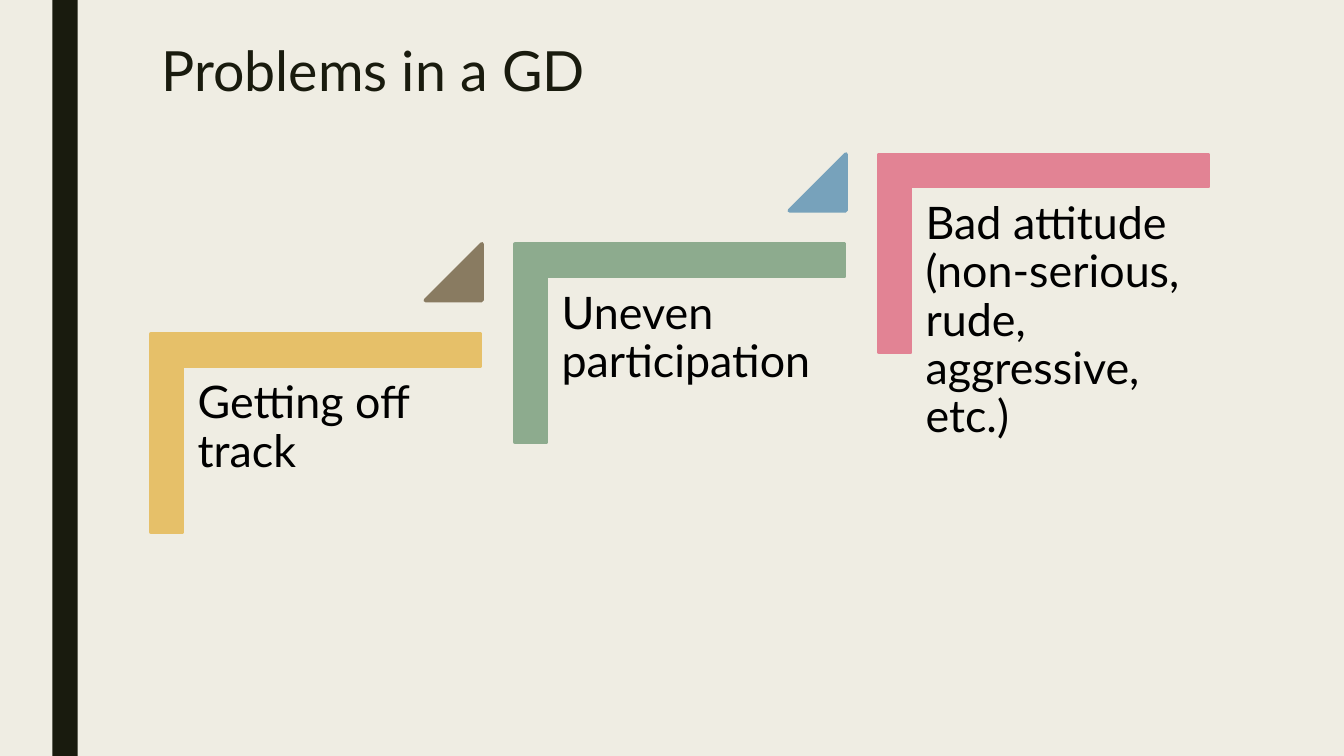
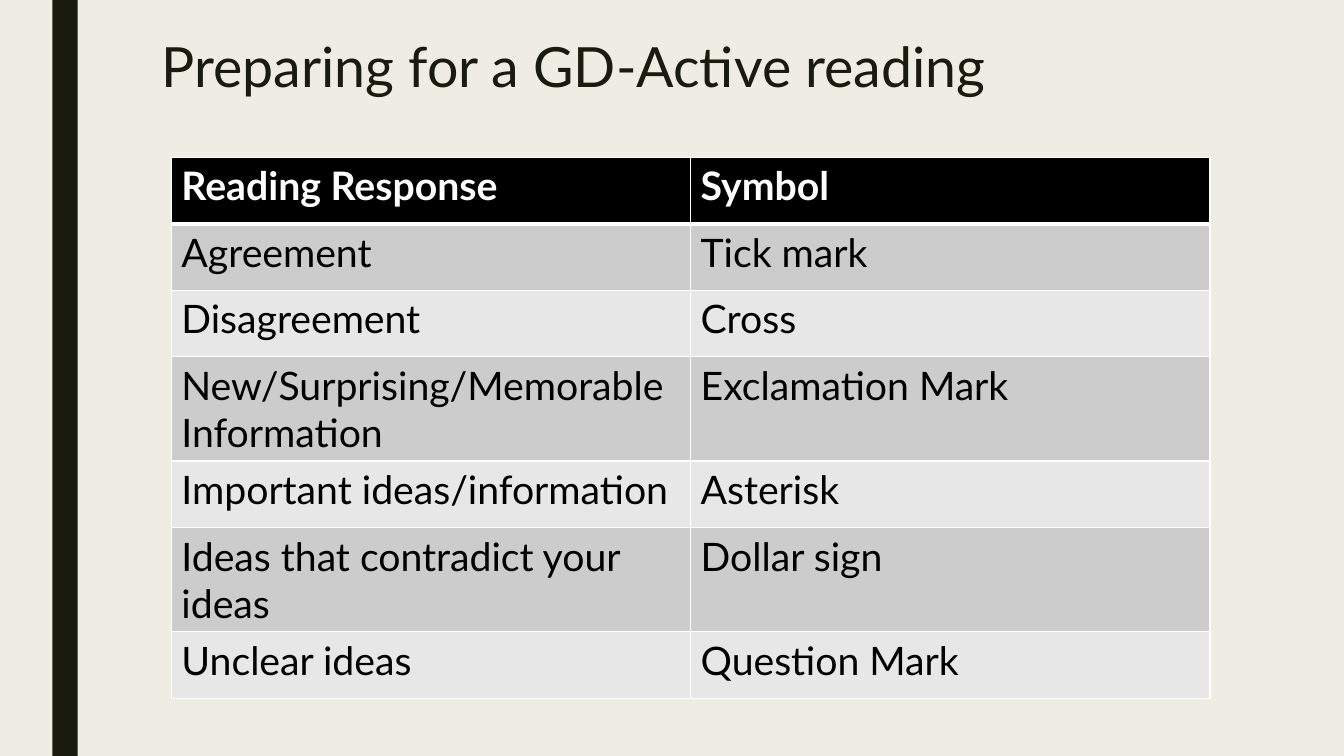
from dataclasses import dataclass

from lxml import etree
from pptx import Presentation
from pptx.dml import color as dml
from pptx.enum import shapes, text
from pptx.oxml import ns
from pptx.util import Inches, Pt

FONT = "Lato"
COLORS = {
    "paper": "EFEDE3",
    "ink": "191B0E",
    "black": "000000",
    "white": "FFFFFF",
    "gold": "E6C069",
    "brown": "897B61",
    "green": "8DAB8E",
    "blue": "77A2BB",
    "pink": "E28394",
    "row_dark": "CCCCCC",
    "row_light": "E7E7E7",
}


@dataclass
class Step:
    problem: str
    color: str
    arrow_color: str | None = None


@dataclass
class Response:
    reading: str
    symbol: str


STEPS = [
    Step("Getting off track", "gold", "brown"),
    Step("Uneven participation", "green", "blue"),
    Step("Bad attitude (non-serious, rude, aggressive, etc.)", "pink"),
]
HEADER = Response("Reading Response", "Symbol")
RESPONSES = [
    Response("Agreement", "Tick mark"),
    Response("Disagreement", "Cross"),
    Response("New/Surprising/Memorable Information", "Exclamation Mark"),
    Response("Important ideas/information", "Asterisk"),
    Response("Ideas that contradict your ideas", "Dollar sign"),
    Response("Unclear ideas", "Question Mark"),
]


def rgb(name: str) -> dml.RGBColor:
    return dml.RGBColor.from_string(COLORS[name])


def write(frame, words: str, size: float, color: str, bold: bool = False, spacing: float | None = None) -> None:
    paragraph = frame.paragraphs[0]
    paragraph.alignment = text.PP_ALIGN.LEFT
    if spacing:
        paragraph.line_spacing = spacing
    run = paragraph.add_run()
    run.text = words
    run.font.name = FONT
    run.font.size = Pt(size)
    run.font.bold = bold
    run.font.color.rgb = rgb(color)


def add_block(slide, preset, left: float, top: float, width: float, height: float, color: str, outline: float = 0):
    block = slide.shapes.add_shape(preset, Inches(left), Inches(top), Inches(width), Inches(height))
    block.shadow.inherit = False
    block.fill.solid()
    block.fill.fore_color.rgb = rgb(color)
    if outline:
        block.line.color.rgb = rgb(color)
        block.line.width = Pt(outline)
    else:
        block.line.fill.background()
    return block


def add_titled_slide(prs, layout, words: str, top: float, height: float):
    slide = prs.slides.add_slide(layout)
    title = slide.shapes.title
    title.left, title.top = Inches(1.5), Inches(top)
    title.width, title.height = Inches(10.5), Inches(height)
    frame = title.text_frame
    frame.word_wrap = True
    frame.auto_size = text.MSO_AUTO_SIZE.NONE
    frame.vertical_anchor = text.MSO_ANCHOR.TOP
    write(frame, words, 39.6, "ink", spacing=0.89)
    return slide


def add_side_band(slide, layout) -> None:
    band = add_block(slide, shapes.MSO_SHAPE.RECTANGLE, 0.52, 0, 0.25, 7.5, "ink")
    band.element.nvSpPr.cNvPr.set("id", "100")
    layout.element.cSld.spTree.insert(2, band.element)


def add_step(slide, step: Step, left: float, top: float) -> None:
    corner = shapes.MSO_SHAPE.from_xml("corner")
    bracket = add_block(slide, corner, left + 0.65, top - 0.65, 1.96, 3.27, step.color, 2.75)
    bracket.rotation = 90
    for side in range(2):
        bracket.adjustments[side] = 0.161

    problem = slide.shapes.add_textbox(Inches(left + 0.33), Inches(top + 0.33), Inches(2.95), Inches(2.59))
    frame = problem.text_frame
    frame.word_wrap = True
    frame.margin_left = frame.margin_right = frame.margin_top = frame.margin_bottom = Inches(0.13)
    write(frame, step.problem, 32, "black", spacing=0.9)

    if step.arrow_color:
        arrow = add_block(slide, shapes.MSO_SHAPE.ISOSCELES_TRIANGLE,
                          left + 2.72, top - 0.89, 0.56, 0.56, step.arrow_color, 2.75)
        arrow.adjustments[0] = 1


def add_border(cell, side: str, width: float) -> None:
    properties = cell._tc.get_or_add_tcPr()
    line = etree.SubElement(properties, ns.qn(f"a:ln{side}"), w=str(Pt(width)))
    fill = etree.SubElement(line, ns.qn("a:solidFill"))
    etree.SubElement(fill, ns.qn("a:srgbClr"), val=COLORS["white"])


def add_responses(slide) -> None:
    lines = [HEADER, *RESPONSES]
    table = slide.shapes.add_table(len(lines), 2, Inches(1.7), Inches(1.56),
                                   Inches(10.3), Inches(0.66 * len(lines))).table
    for row, line in enumerate(lines):
        is_header = row == 0
        fill = "black" if is_header else ("row_light", "row_dark")[row % 2]
        for column, words in enumerate((line.reading, line.symbol)):
            cell = table.cell(row, column)
            borders = {"L": 1, "R": 1, "T": 3 if row == 1 else 1, "B": 3 if is_header else 1}
            for side, width in borders.items():
                add_border(cell, side, width)
            cell.fill.solid()
            cell.fill.fore_color.rgb = rgb(fill)
            write(cell.text_frame, words, 28, "white" if is_header else "black", bold=is_header)


def main() -> None:
    prs = Presentation()
    prs.slide_width, prs.slide_height = Inches(13.33), Inches(7.5)
    background = prs.slide_master.background.fill
    background.solid()
    background.fore_color.rgb = rgb("paper")
    layout = prs.slide_layouts.get_by_name("Title Only")

    problems = add_titled_slide(prs, layout, "Problems in a GD", 0.39, 0.73)
    add_side_band(problems, layout)
    for index, step in enumerate(STEPS):
        add_step(problems, step, 1.5 + 3.61 * index, 3.31 - 0.89 * index)

    preparing = add_titled_slide(prs, layout, "Preparing for a GD-Active reading", 0.35, 0.52)
    add_responses(preparing)

    prs.save("out.pptx")


main()
